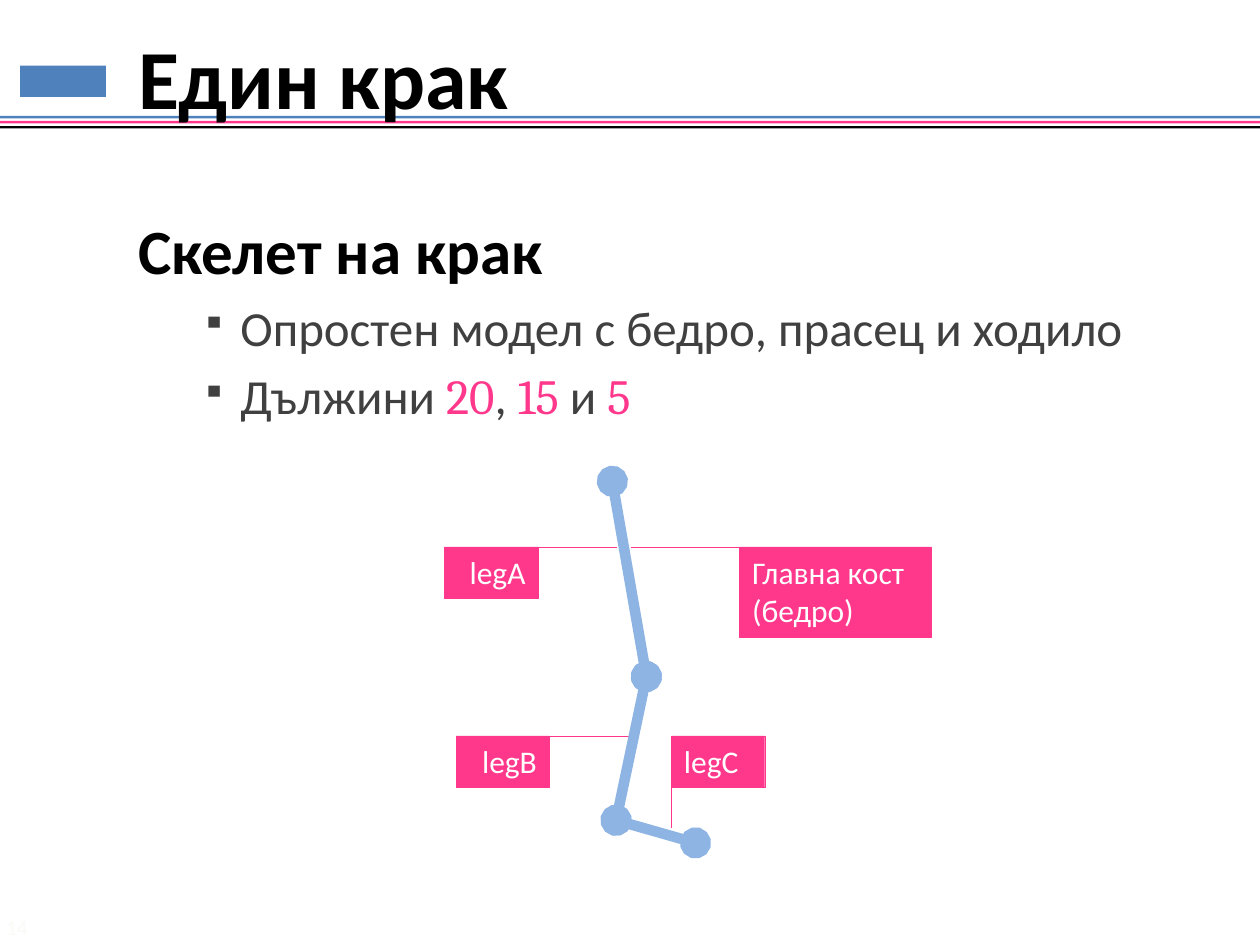
from lxml import etree
from pptx import Presentation
from pptx.dml.color import RGBColor
from pptx.enum.shapes import MSO_CONNECTOR, MSO_SHAPE
from pptx.enum.text import MSO_ANCHOR, PP_ALIGN
from pptx.oxml.ns import qn
from pptx.util import Inches, Pt

RECTANGLE = MSO_SHAPE.RECTANGLE
STRAIGHT = MSO_CONNECTOR.STRAIGHT
TOP, MIDDLE = MSO_ANCHOR.TOP, MSO_ANCHOR.MIDDLE
LEFT, RIGHT = PP_ALIGN.LEFT, PP_ALIGN.RIGHT

BLUE, PINK, BLACK, WHITE = "4F81BD", "FF388C", "000000", "FFFFFF"
GREY, BONE, FAINT = "404040", "8EB4E3", "FAFAF7"
BODY_FONT, NUMBER_FONT = "Calibri", "Cambria"


def rgb(value):
    return RGBColor.from_string(value)


def style_font(font, size, color, bold=False, name=BODY_FONT):
    font.size = Pt(size)
    font.color.rgb = rgb(color)
    font.bold = bold
    font.name = name


def add_box(page, left, top, width, height, anchor=TOP):
    box = page.shapes.add_textbox(Inches(left), Inches(top), Inches(width), Inches(height))
    box.text_frame.word_wrap = True
    box.text_frame.vertical_anchor = anchor
    return box.text_frame


def add_rectangle(page, left, top, width, height, color, outline=None):
    shape = page.shapes.add_shape(
        RECTANGLE, Inches(left), Inches(top), Inches(width), Inches(height))
    shape.shadow.inherit = False
    shape.fill.solid()
    shape.fill.fore_color.rgb = rgb(color)
    if outline:
        shape.line.color.rgb = rgb(color)
        shape.line.width = Pt(outline)
    else:
        shape.line.fill.background()
    return shape


def add_line(page, start, end, color, width, round_ends=False):
    line = page.shapes.add_connector(STRAIGHT, *map(Inches, start + end))
    line.line.color.rgb = rgb(color)
    line.line.width = Pt(width)
    if round_ends:
        outline = line.line._get_or_add_ln()
        for tag in ("a:headEnd", "a:tailEnd"):
            etree.SubElement(outline, qn(tag), type="oval")
    etree.SubElement(line._element.spPr, qn("a:effectLst"))


def add_label(page, text, left, top, width, height, align, start, end):
    """A pink label with its thin leader line."""
    box = add_rectangle(page, left, top, width, height, PINK, outline=0.25)
    frame = box.text_frame
    frame.word_wrap = True
    frame.vertical_anchor = TOP
    para = frame.paragraphs[0]
    para.text = text
    para.alignment = align
    style_font(para.font, 18, WHITE)
    add_line(page, start, end, PINK, 0.25)


def add_bullet(frame, spans):
    para = frame.add_paragraph()
    para.space_before = Pt(5.6)
    style_font(para.font, 28, GREY)
    for text, is_number in spans:
        span = para.add_run()
        span.text = text
        if is_number:
            span.font.name = NUMBER_FONT
            span.font.color.rgb = rgb(PINK)
    props = para._p.get_or_add_pPr()
    props.set("marL", str(Inches(0.81)))
    props.set("indent", str(Inches(-0.31)))
    color = etree.SubElement(props, qn("a:buClr"))
    etree.SubElement(color, qn("a:srgbClr"), val=GREY)
    etree.SubElement(props, qn("a:buSzPct"), val="70000")
    etree.SubElement(props, qn("a:buChar"), char="▪")
    # Bullet settings must come before the default run properties
    defaults = props.find(qn("a:defRPr"))
    if defaults is not None:
        props.append(defaults)


def add_header(page):
    # Plain block at the emblem's place, then the three stripes
    add_rectangle(page, 0.16, 0.52, 0.68, 0.25, BLUE)
    for index, color in enumerate((BLUE, PINK, BLACK)):
        add_rectangle(page, 0, 0.92 + 0.04 * index, 10, 0.02, color)
    title = add_box(page, 1, 0.25, 9, 0.71, MIDDLE).paragraphs[0]
    title.text = "Един крак"
    style_font(title.font, 48, BLACK, bold=True)


def add_body(page):
    frame = add_box(page, 1, 1.33, 8.92, 6.08)
    heading = frame.paragraphs[0]
    heading.text = "Скелет на крак"
    heading.line_spacing = 1.5
    heading.space_before = Pt(7.2)
    style_font(heading.font, 36, BLACK, bold=True)
    add_bullet(frame, [("Опростен модел с бедро, прасец и ходило", False)])
    add_bullet(frame, [("Дължини ", False), ("20", True), (", ", False),
                       ("15", True), (" и ", False), ("5", True)])


def add_leg(page):
    # Labels lie behind the bones
    upper, lower = 4.34, 5.84
    add_label(page, "Главна кост\n(бедро)", 5.87, upper, 1.52, 0.72, LEFT,
              (5.01, upper), (7.39, upper))
    for text, left, top, align, end in (
            ("legA", 3.53, upper, RIGHT, (4.9, upper)),
            ("legB", 3.62, lower, RIGHT, (4.99, lower)),
            ("legC", 5.33, lower, LEFT, (5.33, 6.57))):
        add_label(page, text, left, top, 0.74, 0.41, align, (left, top), end)

    # Bones run from joint to joint
    hip, knee, ankle, toe = (4.86, 3.82), (5.13, 5.37), (4.89, 6.51), (5.52, 6.69)
    for start, end in ((hip, knee), (ankle, knee), (ankle, toe)):
        add_line(page, start, end, BONE, 6, round_ends=True)


def add_page_number(page):
    frame = add_box(page, 0.05, 7.25, 0.5, 0.22, MIDDLE)
    frame.margin_left = frame.margin_top = frame.margin_bottom = 0
    para = frame.paragraphs[0]
    para.text = "14"
    style_font(para.font, 12, FAINT)


def main():
    deck = Presentation()
    deck.slide_width, deck.slide_height = Inches(10), Inches(7.5)
    page = deck.slides.add_slide(deck.slide_layouts[6])
    add_header(page)
    add_body(page)
    add_leg(page)
    add_page_number(page)
    deck.save("out.pptx")


if __name__ == "__main__":
    main()
